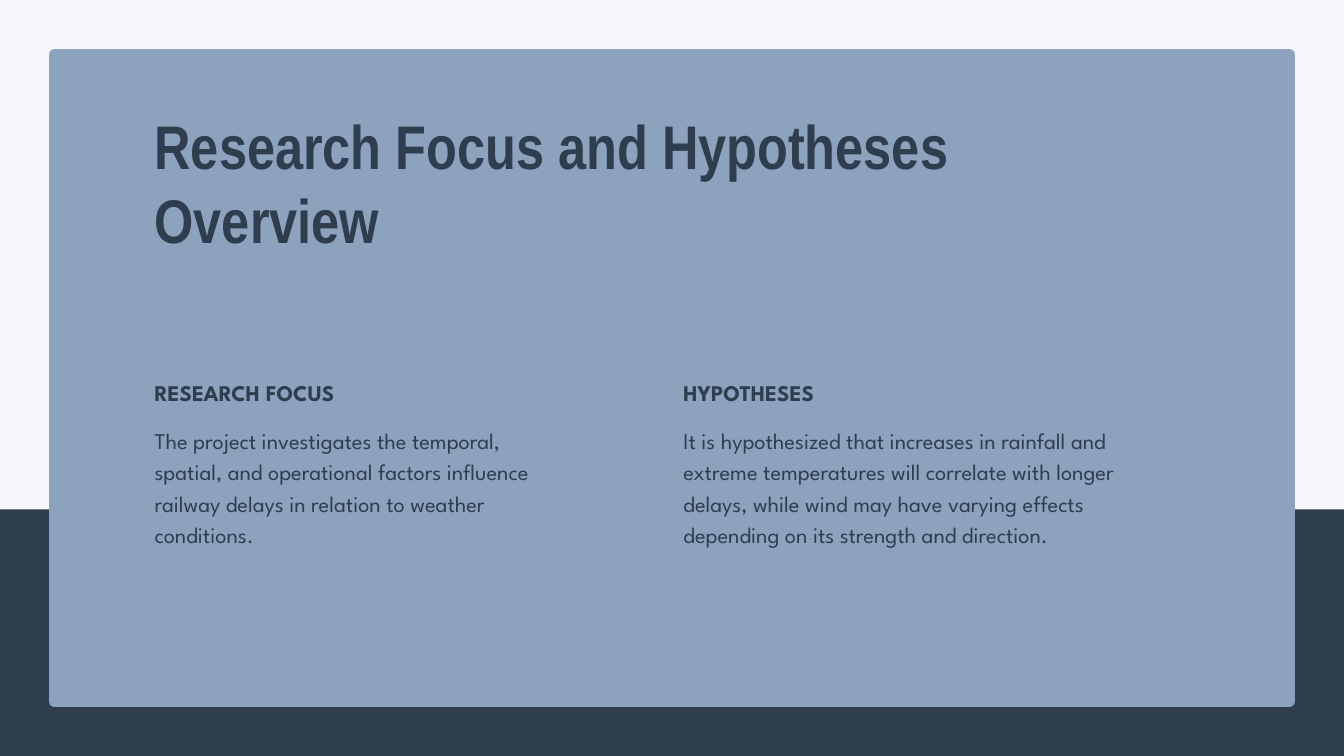
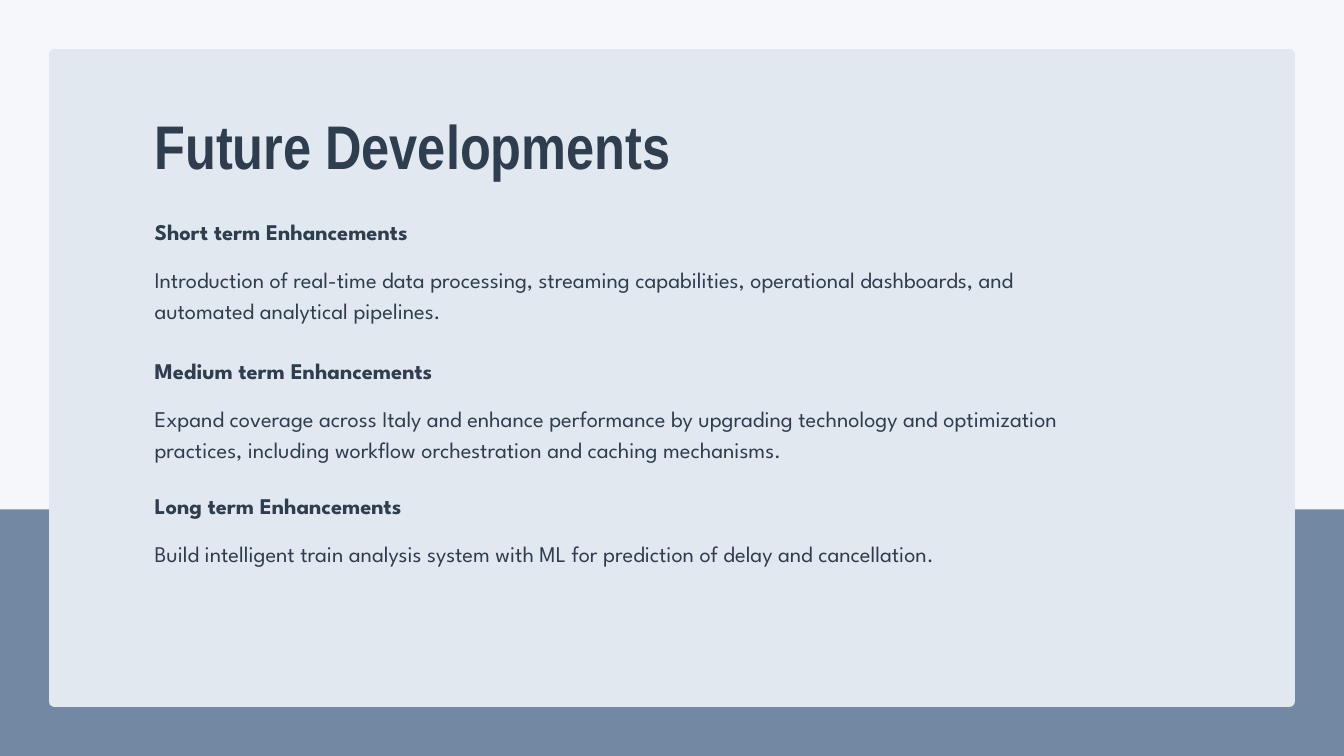
from dataclasses import dataclass

from pptx import Presentation
from pptx import util as u
from pptx.dml.color import RGBColor
from pptx.enum import shapes, text

PX = 9144  # EMU per px, 100 px to the inch
WIDTH, HEIGHT = 2000, 1125
BAND_TOP = 758
MARGIN = 73
CORNER = 8
LEFT = 230
TEXT_WIDTH = 1382
TITLE_TOP = 160
HEADING_HEIGHT = 44
BODY_OFFSET = 71


@dataclass(frozen=True)
class TextStyle:
    font: str
    size: int
    leading: float
    bold: bool = False


@dataclass(frozen=True)
class Theme:
    page: str = "F5F7FA"
    ink: str = "2F3E4F"
    blue: str = "8DA2BD"
    slate: str = "7388A2"
    mist: str = "E1E8F0"
    title: TextStyle = TextStyle("Arial Narrow", 66, 79.2, True)
    heading: TextStyle = TextStyle("League Spartan", 24, 33.6, True)
    body: TextStyle = TextStyle("League Spartan", 24, 33.6)


def px(*lengths):
    return [u.Emu(length * PX) for length in lengths]


class Deck:
    def __init__(self, theme):
        self.theme = theme
        self.presentation = Presentation()
        self.presentation.slide_width, self.presentation.slide_height = px(WIDTH, HEIGHT)
        self.slide = None

    def add_slide(self, title, title_height, band, card):
        """Start a slide with its bottom band, rounded card and title."""
        self.slide = self.presentation.slides.add_slide(self.presentation.slide_layouts[6])
        background = self.slide.background.fill
        background.solid()
        background.fore_color.rgb = RGBColor.from_string(self.theme.page)
        self.panel(shapes.MSO_SHAPE.RECTANGLE, 0, BAND_TOP, WIDTH, HEIGHT - BAND_TOP, band)
        card_height = HEIGHT - 2 * MARGIN
        shape = self.panel(shapes.MSO_SHAPE.ROUNDED_RECTANGLE, MARGIN, MARGIN,
                           WIDTH - 2 * MARGIN, card_height, card)
        shape.adjustments[0] = CORNER / card_height
        self.text(title, LEFT, TITLE_TOP, TEXT_WIDTH, title_height, self.theme.title)

    def panel(self, kind, left, top, width, height, color):
        shape = self.slide.shapes.add_shape(kind, *px(left, top, width, height))
        shape.shadow.inherit = False
        shape.fill.solid()
        shape.fill.fore_color.rgb = RGBColor.from_string(color)
        shape.line.fill.background()
        return shape

    def text(self, words, left, top, width, height, style):
        frame = self.slide.shapes.add_textbox(*px(left, top, width, height)).text_frame
        frame.word_wrap = True
        frame.auto_size = text.MSO_AUTO_SIZE.SHAPE_TO_FIT_TEXT
        frame.margin_left = frame.margin_top = frame.margin_right = frame.margin_bottom = 0
        paragraph = frame.paragraphs[0]
        paragraph.line_spacing = u.Pt(style.leading)
        run = paragraph.add_run()
        run.text = words
        run.font.name = style.font
        run.font.size = u.Pt(style.size)
        run.font.bold = style.bold
        run.font.color.rgb = RGBColor.from_string(self.theme.ink)

    def section(self, heading, body, left, top, width, body_height):
        self.text(body, left, top + BODY_OFFSET, width, body_height, self.theme.body)
        self.text(heading, left, top, width, HEADING_HEIGHT, self.theme.heading)


def add_research_focus(deck):
    deck.add_slide("Research Focus and Hypotheses Overview", 332,
                   deck.theme.ink, deck.theme.blue)
    columns_top = 558
    deck.section("RESEARCH FOCUS",
                 "The project investigates the temporal, spatial, and operational factors "
                 "influence railway delays in relation to weather conditions.",
                 LEFT, columns_top, 596, 187)
    deck.section("HYPOTHESES",
                 "It is hypothesized that increases in rainfall and extreme temperatures will "
                 "correlate with longer delays, while wind may have varying effects depending "
                 "on its strength and direction.",
                 1017, columns_top, 733, 235)


def add_future_developments(deck):
    deck.add_slide("Future Developments", 120, deck.theme.slate, deck.theme.mist)
    stages = [
        ("Short term Enhancements", 318, 92,
         "Introduction of real-time data processing, streaming capabilities, operational "
         "dashboards, and automated analytical pipelines."),
        ("Medium term Enhancements", 525, 140,
         "Expand coverage across Italy and enhance performance by upgrading technology and "
         "optimization practices, including workflow orchestration and caching mechanisms."),
        ("Long term Enhancements", 726, 92,
         "Build intelligent train analysis system with ML for prediction of delay and "
         "cancellation."),
    ]
    for heading, top, body_height, body in stages:
        deck.section(heading, body, LEFT, top, TEXT_WIDTH, body_height)


def main():
    deck = Deck(Theme())
    add_research_focus(deck)
    add_future_developments(deck)
    deck.presentation.save("out.pptx")


if __name__ == "__main__":
    main()
